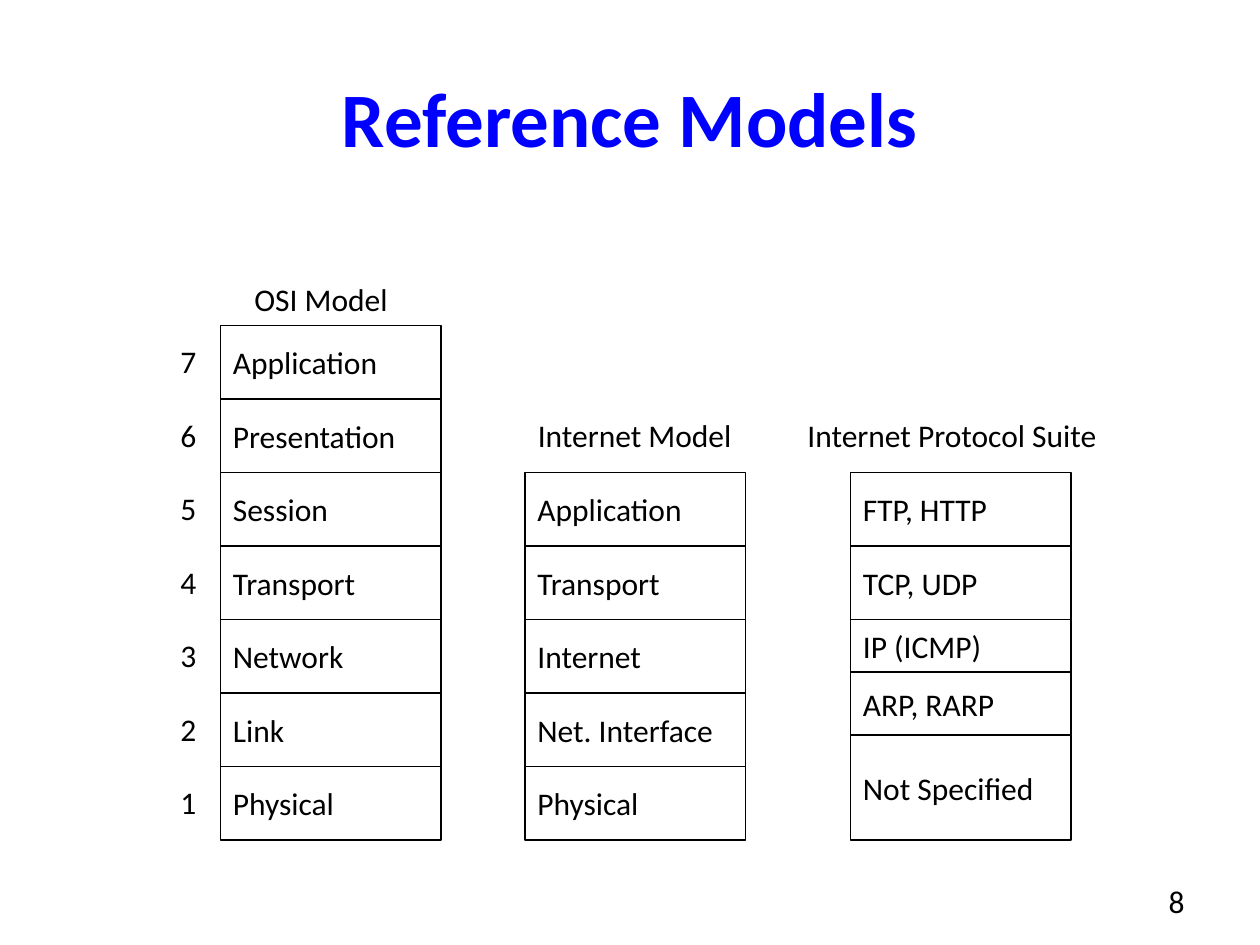
from pptx import Presentation
from pptx.dml.color import RGBColor
from pptx.enum.shapes import MSO_SHAPE
from pptx.enum.text import MSO_ANCHOR, MSO_AUTO_SIZE, PP_ALIGN
from pptx.util import Inches, Pt

RECTANGLE = MSO_SHAPE.RECTANGLE
MIDDLE, TOP = MSO_ANCHOR.MIDDLE, MSO_ANCHOR.TOP
LEFT, CENTER, RIGHT = PP_ALIGN.LEFT, PP_ALIGN.CENTER, PP_ALIGN.RIGHT
FIT_SHAPE, NO_FIT = MSO_AUTO_SIZE.SHAPE_TO_FIT_TEXT, MSO_AUTO_SIZE.NONE

COLORS = {"title": "0000FF", "text": "000000", "line": "000000", "fill": "FFFFFF"}
FONT = "Calibri"

# Lengths on the grid are counted in twelfths of an inch.
UNIT = 1 / 12
LAYER = 7
STACK_WIDTH = 21
STACK_BOTTOM = 80
LABEL_HEIGHT = 0.4

TITLE = "Reference Models"
PAGE_NUMBER = "8"
# Each model: heading, (heading left, top, width in inches), stack left, layers top down
MODELS = [
    ("OSI Model", (1.92, 2.17, 1.38), 21,
     [("Application", LAYER), ("Presentation", LAYER), ("Session", LAYER),
      ("Transport", LAYER), ("Network", LAYER), ("Link", LAYER), ("Physical", LAYER)]),
    ("Internet Model", (4.17, 3.25, 1.8), 50,
     [("Application", LAYER), ("Transport", LAYER), ("Internet", LAYER),
      ("Net. Interface", LAYER), ("Physical", LAYER)]),
    ("Internet Protocol Suite", (6.31, 3.25, 2.67), 81,
     [("FTP, HTTP", LAYER), ("TCP, UDP", LAYER), ("IP (ICMP)", 5),
      ("ARP, RARP", 6), ("Not Specified", 10)]),
]
LAYER_NUMBERS = range(1, 8)


def color(name):
    return RGBColor.from_string(COLORS[name])


def write(shape, text, size=18, ink="text", bold=False, align=LEFT, anchor=TOP,
          wrap=False, fit=NO_FIT):
    frame = shape.text_frame
    frame.text = text
    frame.word_wrap = wrap
    frame.auto_size = fit
    frame.vertical_anchor = anchor
    paragraph = frame.paragraphs[0]
    paragraph.alignment = align
    font = paragraph.runs[0].font
    font.name, font.size, font.bold = FONT, Pt(size), bold
    font.color.rgb = color(ink)


def add_label(slide, text, left, top, width, height=LABEL_HEIGHT, **style):
    box = slide.shapes.add_textbox(*map(Inches, (left, top, width, height)))
    write(box, text, **style)


def add_layer(slide, text, left, top, height):
    """Draw one layer; left, top and height are in grid units."""
    box = slide.shapes.add_shape(
        RECTANGLE, *(Inches(n * UNIT) for n in (left, top, STACK_WIDTH, height)))
    box.shadow.inherit = False
    box.fill.solid()
    box.fill.fore_color.rgb = color("fill")
    box.line.color.rgb = color("line")
    box.line.width = Pt(0.75)
    write(box, text, anchor=MIDDLE)


def main():
    deck = Presentation()
    deck.slide_width, deck.slide_height = Inches(10), Inches(7.5)
    slide = deck.slides.add_slide(deck.slide_layouts[6])

    add_label(slide, TITLE, 0.5, 0.3, 9, 1.25, size=44, ink="title", bold=True,
              align=CENTER, anchor=MIDDLE, wrap=True)

    for heading, heading_place, left, layers in MODELS:
        add_label(slide, heading, *heading_place, fit=FIT_SHAPE)
        top = STACK_BOTTOM - sum(height for _, height in layers)
        for name, height in layers:
            add_layer(slide, name, left, top, height)
            top += height

    for number in LAYER_NUMBERS:
        top = (STACK_BOTTOM - number * LAYER + 1) * UNIT
        add_label(slide, str(number), 16 * UNIT, top, 0.34, fit=FIT_SHAPE)

    add_label(slide, PAGE_NUMBER, 7.17, 6.95, 2.33, align=RIGHT, wrap=True)
    deck.save("out.pptx")


if __name__ == "__main__":
    main()
